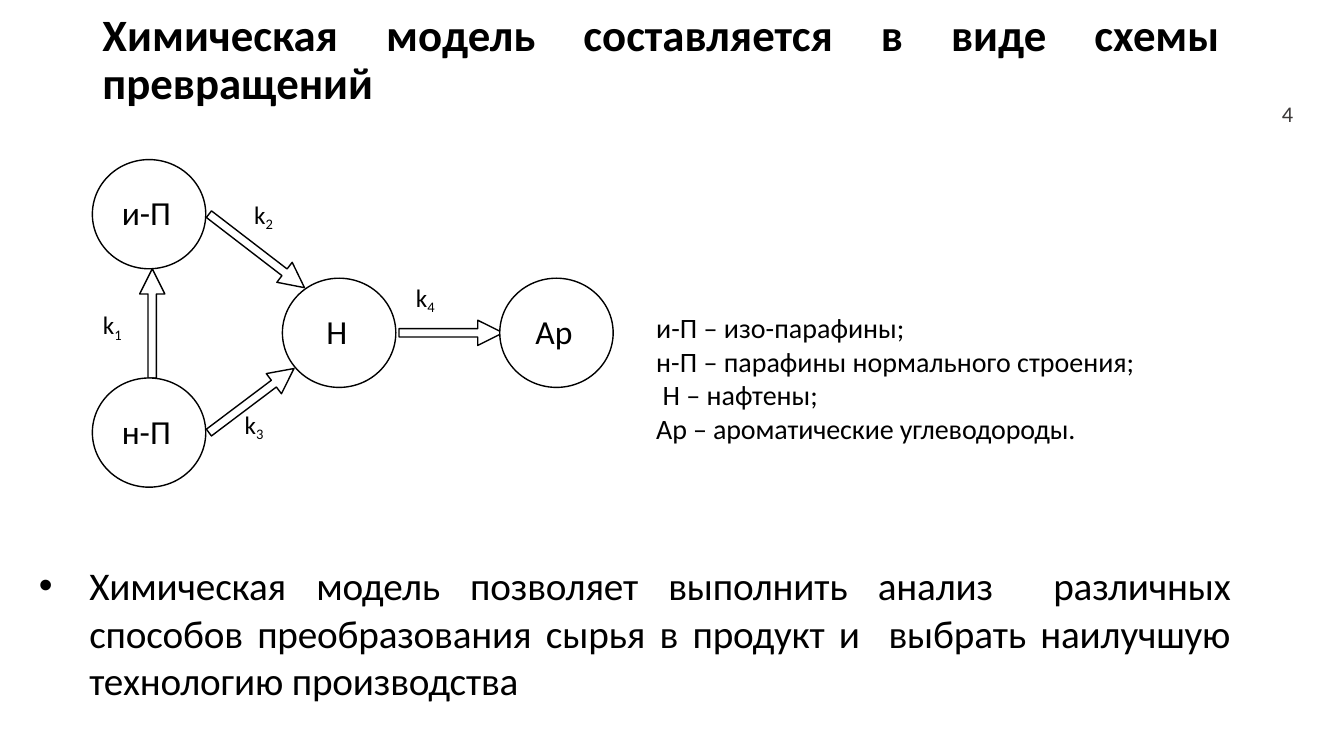
from math import hypot

from lxml.etree import SubElement
from pptx import Presentation
from pptx.dml.color import RGBColor
from pptx.enum.shapes import MSO_SHAPE
from pptx.enum.text import MSO_ANCHOR, MSO_AUTO_SIZE, PP_ALIGN
from pptx.oxml.ns import qn
from pptx.util import Pt

PX = 9525
FONT = "Calibri"
BLACK, WHITE, GRAY = "000000", "FFFFFF", "3B3838"
CIRCLE_WIDTH, CIRCLE_HEIGHT = 108, 104
SHAFT_HALF, HEAD_HALF, HEAD_LENGTH = 4, 12, 24
TIGHT = -10

TITLE = "Химическая модель составляется в виде схемы превращений"
CONCLUSION = ("Химическая модель позволяет выполнить анализ  различных способов "
              "преобразования сырья в продукт и  выбрать наилучшую технологию производства")
SUBSTANCES = [
    ("и-П", 88, 152, 54),
    ("Ар", 476, 265, 41),
    ("Н", 269, 265, 26),
    ("н-П", 88, 360, 54),
]
REACTIONS = [
    ((145, 360), (145, 256)),
    ((199, 412), (280, 351)),
    ((199, 204), (290, 274)),
    ((380, 317), (479, 317)),
]
RATES = [("1", 94, 294, WHITE), ("2", 238, 189, WHITE), ("3", 229, 389, None),
         ("4", 392, 268, WHITE)]
LEGEND = [
    ("и-П – изо-парафины;", 0, 0),
    ("н-П – парафины нормального строения;", 0, 0),
    ("Н – нафтены;", 6, 0),
    ("Ар – ароматические углеводороды.", 0, TIGHT),
]


def color(value):
    """Turn a hex string into a colour."""
    return RGBColor.from_string(value)


def place(shape, left, top, width, height):
    """Set a shape's position and size in px."""
    shape.left, shape.top = left * PX, top * PX
    shape.width, shape.height = width * PX, height * PX


def fill_shape(shape, hue=WHITE):
    """Give a shape a solid fill."""
    shape.fill.solid()
    shape.fill.fore_color.rgb = color(hue)


def style_outline(shape):
    """Give a shape a white fill and a thin black outline."""
    shape.shadow.inherit = False
    fill_shape(shape)
    shape.line.color.rgb = color(BLACK)
    shape.line.width = Pt(1)


def style_text(para, size, hue=BLACK, bold=False, spacing=0):
    """Format every run of a paragraph."""
    for span in para.runs:
        span.font.name = FONT
        span.font.size = Pt(size)
        span.font.bold = bold
        span.font.color.rgb = color(hue)
        if spacing:
            span._r.get_or_add_rPr().set("spc", str(spacing))


def set_indent(para, left, first=0):
    """Set a paragraph's left and first-line indents in px."""
    properties = para._p.get_or_add_pPr()
    properties.set("marL", str(left * PX))
    properties.set("indent", str(first * PX))
    return properties


def add_text(slide, left, top, width, height):
    """Add a wrapping text box."""
    box = slide.shapes.add_textbox(left * PX, top * PX, width * PX, height * PX)
    box.text_frame.word_wrap = True
    return box


def add_label(slide, left, top, width, height, margin=1, hue=WHITE):
    """Add a tight, optionally filled text box and return its frame."""
    box = add_text(slide, left, top, width, height)
    if hue:
        fill_shape(box, hue)
    frame = box.text_frame
    frame.margin_left, frame.margin_top = margin * PX, PX
    frame.margin_right = frame.margin_bottom = 0
    return frame


def add_title(slide):
    """Fill and place the title."""
    place(slide.shapes.title, 88, 16, 1084, 84)
    frame = slide.shapes.title.text_frame
    frame.text = TITLE
    frame.auto_size = MSO_AUTO_SIZE.NONE
    frame.vertical_anchor = MSO_ANCHOR.MIDDLE
    para = frame.paragraphs[0]
    para.alignment = PP_ALIGN.JUSTIFY
    para.line_spacing = 0.9
    style_text(para, 32, bold=True)


def add_page_number(slide):
    """Add the page number."""
    frame = add_text(slide, 1192, 89, 49, 38).text_frame
    frame.vertical_anchor = MSO_ANCHOR.MIDDLE
    frame.text = "4"
    frame.paragraphs[0].alignment = PP_ALIGN.RIGHT
    style_text(frame.paragraphs[0], 16, GRAY)


def add_substance(slide, name, left, top, width):
    """Add a circle and the name of its substance."""
    circle = slide.shapes.add_shape(
        MSO_SHAPE.OVAL, left * PX, top * PX, CIRCLE_WIDTH * PX, CIRCLE_HEIGHT * PX)
    style_outline(circle)
    frame = add_label(slide, left + (CIRCLE_WIDTH - width) // 2, top + 30, width, 41)
    frame.text = name
    style_text(frame.paragraphs[0], 24)


def arrow_points(start, end):
    """Return the outline of a block arrow between two points."""
    run, rise = end[0] - start[0], end[1] - start[1]
    length = hypot(run, rise)
    run, rise = run / length, rise / length
    neck = length - HEAD_LENGTH
    outline = [(0, SHAFT_HALF), (neck, SHAFT_HALF), (neck, HEAD_HALF), (length, 0),
               (neck, -HEAD_HALF), (neck, -SHAFT_HALF), (0, -SHAFT_HALF)]
    return [(round((start[0] + along * run - across * rise) * PX),
             round((start[1] + along * rise + across * run) * PX))
            for along, across in outline]


def add_reactions(slide):
    """Add all the block arrows as one outline."""
    arrows = [arrow_points(*reaction) for reaction in REACTIONS]
    builder = slide.shapes.build_freeform(*arrows[0][0])
    for index, points in enumerate(arrows):
        if index:
            builder.move_to(*points[0])
        builder.add_line_segments(points[1:], close=True)
    style_outline(builder.convert_to_shape())


def add_rate(slide, index, left, top, hue):
    """Add a rate constant with its subscript."""
    frame = add_label(slide, left, top, 28, 32, margin=4, hue=hue)
    para = frame.paragraphs[0]
    para.text = "k"
    subscript = para.add_run()
    subscript.text = index
    style_text(para, 18)
    subscript._r.get_or_add_rPr().set("baseline", "-21000")


def add_legend(slide):
    """Add the list of abbreviations."""
    frame = add_label(slide, 624, 295, 460, 131)
    frame.text = "\n".join(text for text, indent, spacing in LEGEND)
    for para, (text, indent, spacing) in zip(frame.paragraphs, LEGEND):
        set_indent(para, indent)
        style_text(para, 20, spacing=spacing)


def add_conclusion(slide):
    """Add the bulleted conclusion."""
    frame = add_label(slide, 36, 534, 1136, 137, margin=0)
    frame.text = CONCLUSION
    para = frame.paragraphs[0]
    para.alignment = PP_ALIGN.JUSTIFY
    properties = set_indent(para, 49, -48)
    SubElement(properties, qn("a:buFont")).set("typeface", "Arial")
    SubElement(properties, qn("a:buChar")).set("char", "•")
    style_text(para, 28, spacing=TIGHT)


def main():
    """Build the slide and save the deck."""
    deck = Presentation()
    deck.slide_width, deck.slide_height = 1280 * PX, 720 * PX
    slide = deck.slides.add_slide(deck.slide_layouts[5])
    add_page_number(slide)
    add_title(slide)
    add_reactions(slide)
    for substance in SUBSTANCES:
        add_substance(slide, *substance)
    for rate in RATES:
        add_rate(slide, *rate)
    add_legend(slide)
    add_conclusion(slide)
    deck.save("out.pptx")


if __name__ == "__main__":
    main()
